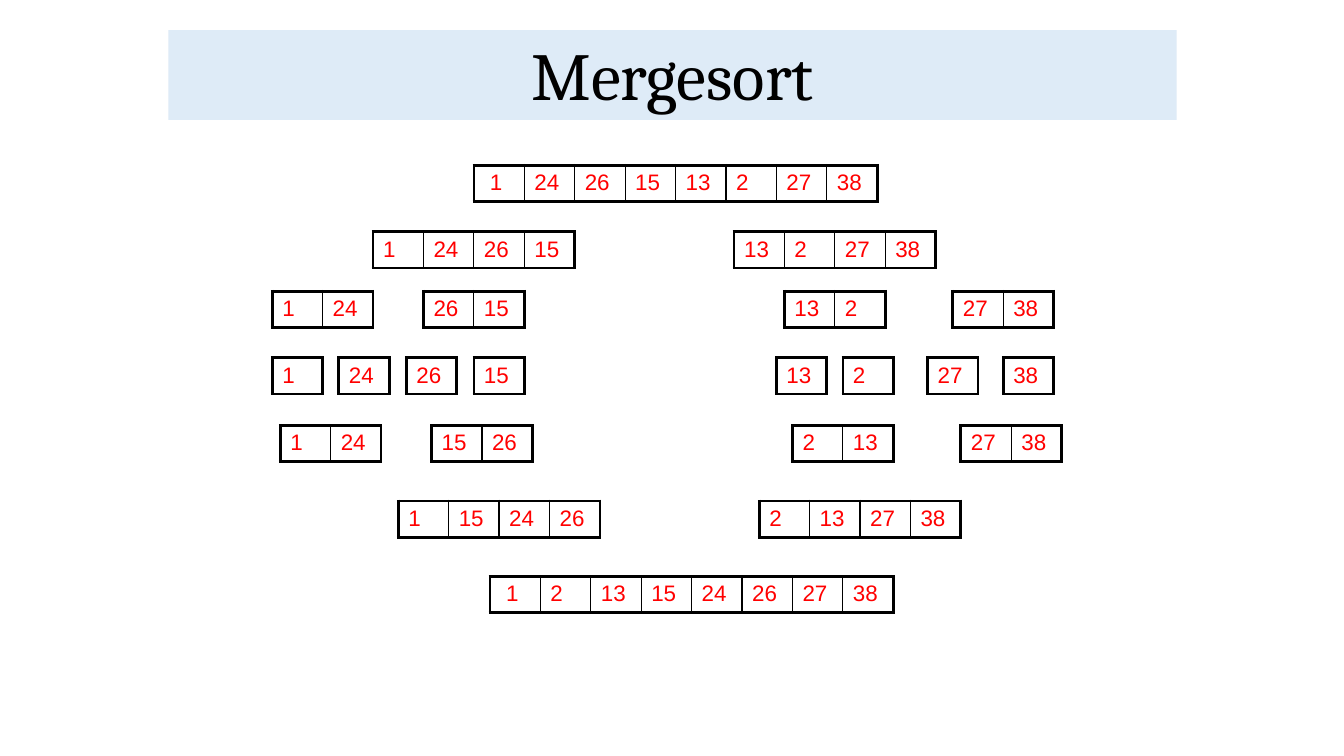
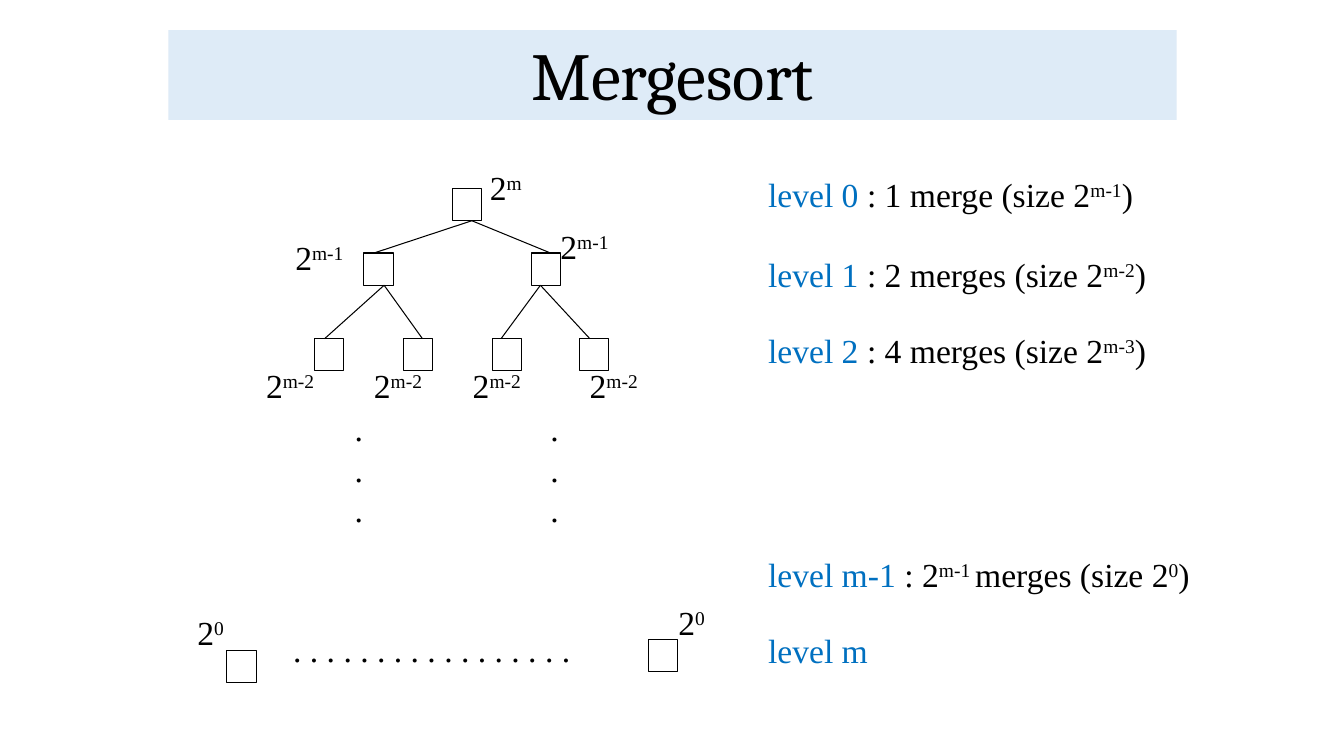
from lxml.etree import SubElement
from pptx import Presentation
from pptx.dml.color import RGBColor
from pptx.enum.shapes import MSO_CONNECTOR, MSO_SHAPE
from pptx.enum.text import MSO_ANCHOR, MSO_AUTO_SIZE, PP_ALIGN
from pptx.oxml.ns import qn
from pptx.util import Emu, Pt

COLORS = {
    "ink": "000000",
    "paper": "FFFFFF",
    "band": "DEEBF7",
    "value": "FF0000",
    "level": "0070C0",
}
EMU_PER_PX = 9144
CELL_W, CELL_H = 50, 36
NODE_W, NODE_H = 29, 32

ARRAYS = [
    (164, [(470, [1, 24, 26, 15, 13, 2, 27, 38])]),
    (230, [(370, [1, 24, 26, 15]), (728, [13, 2, 27, 38])]),
    (289, [(270, [1, 24]), (420, [26, 15]), (778, [13, 2]), (945, [27, 38])]),
    (355, [(270, [1]), (336, [24]), (403, [26]), (470, [15]),
           (770, [13]), (836, [2]), (920, [27]), (995, [38])]),
    (422, [(278, [1, 24]), (428, [15, 26]), (786, [2, 13]), (953, [27, 38])]),
    (497, [(395, [1, 15, 24, 26]), (753, [2, 13, 27, 38])]),
    (572, [(486, [1, 2, 13, 15, 24, 26, 27, 38])]),
]
NODES = [
    (449, 187), (361, 251), (527, 251),
    (312, 336), (400, 336), (488, 336), (575, 336),
    (643, 634), (225, 645),
]
BRANCHES = [
    (468, 219, 251, (371, 546)),
    (381, 283, 336, (322, 419)),
    (536, 283, 336, (497, 585)),
]
SIZES = [
    (476, 161, "2^m"), (283, 230, "2^m-1"), (546, 219, "2^m-1"),
    (254, 357, "2^m-2"), (361, 357, "2^m-2"), (459, 357, "2^m-2"),
    (575, 357, "2^m-2"), (186, 602, "2^0"), (663, 592, "2^0"),
]
LEVELS = [
    (168, "level 0 ", ": 1 merge (size 2^m-1^)"),
    (247, "level 1 ", ": 2 merges (size 2^m-2^)"),
    (322, "level 2 ", ": 4 merges (size 2^m-3^)"),
    (545, "level m-1 ", ": 2^m-1 ^merges (size 2^0^)"),
    (620, "level m", ""),
]


def px(n):
    return Emu(n * EMU_PER_PX)


def rgb(name):
    return RGBColor.from_string(COLORS[name])


class Deck:
    def __init__(self):
        self.prs = Presentation()
        self.prs.slide_width, self.prs.slide_height = px(1333), px(750)
        self.s = None

    def slide(self, title):
        self.s = self.prs.slides.add_slide(self.prs.slide_layouts[5])
        sp = self.s.shapes.title
        sp.left, sp.top, sp.width, sp.height = map(px, (167, 30, 1000, 89))
        sp.fill.solid()
        sp.fill.fore_color.rgb = rgb("band")
        tf = sp.text_frame
        tf.text = title
        tf.auto_size = MSO_AUTO_SIZE.NONE
        tf.vertical_anchor = MSO_ANCHOR.BOTTOM
        p = tf.paragraphs[0]
        p.alignment = PP_ALIGN.CENTER
        p.line_spacing = 0.9
        self.font(p, "Cambria", 48, "ink")

    def font(self, p, name, size, color):
        p.font.name = name
        p.font.size = Pt(size)
        p.font.color.rgb = rgb(color)

    def array(self, x, y, values):
        n = len(values)
        frame = self.s.shapes.add_table(1, n, px(x), px(y), px(n * CELL_W), px(CELL_H))
        tbl = frame.table
        tbl.first_row = tbl.horz_banding = False
        tbl.rows[0].height = px(CELL_H)
        for i, value in enumerate(values):
            tbl.columns[i].width = px(CELL_W)
            cell = tbl.cell(0, i)
            cell.text = str(value)
            cell.margin_left = px(16 if n == 8 and i == 0 else 10)
            cell.margin_right = px(5)
            self.font(cell.text_frame.paragraphs[0], "Arial", 16, "value")
            self.border(cell, "lnL", 1 if i else 2.25)
            self.border(cell, "lnR", 1 if i < n - 1 else 2.25)
            self.border(cell, "lnT", 2.25)
            self.border(cell, "lnB", 2.25)
            cell.fill.background()

    def border(self, cell, side, width):
        tc_pr = cell._tc.get_or_add_tcPr()
        ln = SubElement(tc_pr, qn(f"a:{side}"), w=str(Pt(width)))
        fill = SubElement(ln, qn("a:solidFill"))
        SubElement(fill, qn("a:srgbClr"), val=COLORS["ink"])

    def node(self, x, y):
        sp = self.s.shapes.add_shape(
            MSO_SHAPE.RECTANGLE, px(x), px(y), px(NODE_W), px(NODE_H))
        sp.shadow.inherit = False
        sp.fill.solid()
        sp.fill.fore_color.rgb = rgb("paper")
        self.stroke(sp)

    def line(self, x1, y1, x2, y2):
        cx = self.s.shapes.add_connector(
            MSO_CONNECTOR.STRAIGHT, px(x1), px(y1), px(x2), px(y2))
        self.stroke(cx)
        SubElement(cx._element.spPr, qn("a:effectLst"))

    def stroke(self, sp):
        sp.line.color.rgb = rgb("ink")
        sp.line.width = Pt(0.75)

    def text(self, x, y, w, h, lines, lead=""):
        tf = self.s.shapes.add_textbox(px(x), px(y), px(w), px(h)).text_frame
        tf.word_wrap = True
        for i, line in enumerate(lines):
            p = tf.add_paragraph() if i else tf.paragraphs[0]
            self.font(p, "Times New Roman", 24, "ink")
            if lead:
                r = p.add_run()
                r.text = lead
                r.font.color.rgb = rgb("level")
            for j, part in enumerate(line.split("^")):
                if part:
                    r = p.add_run()
                    r.text = part
                    if j % 2:
                        r._r.get_or_add_rPr().set("baseline", "30000")


def arrays_slide(deck):
    deck.slide("Mergesort")
    for y, arrays in ARRAYS:
        for x, values in arrays:
            deck.array(x, y, values)


def tree_slide(deck):
    deck.slide("Mergesort")
    for x, y in NODES:
        deck.node(x, y)
    for x, top, bottom, ends in BRANCHES:
        for end in ends:
            deck.line(x, top, end, bottom)
    for x in (342, 536):
        deck.text(x, 400, 36, 166, ["."] * 3)
    deck.text(281, 619, 374, 64, [" ".join("." * 17)])
    for x, y, size in SIZES:
        deck.text(x, y, 92, 64, [size])
    for y, level, merges in LEVELS:
        deck.text(752, y, 460, 50, [merges], level)


def main():
    deck = Deck()
    arrays_slide(deck)
    tree_slide(deck)
    deck.prs.save("out.pptx")


if __name__ == "__main__":
    main()
